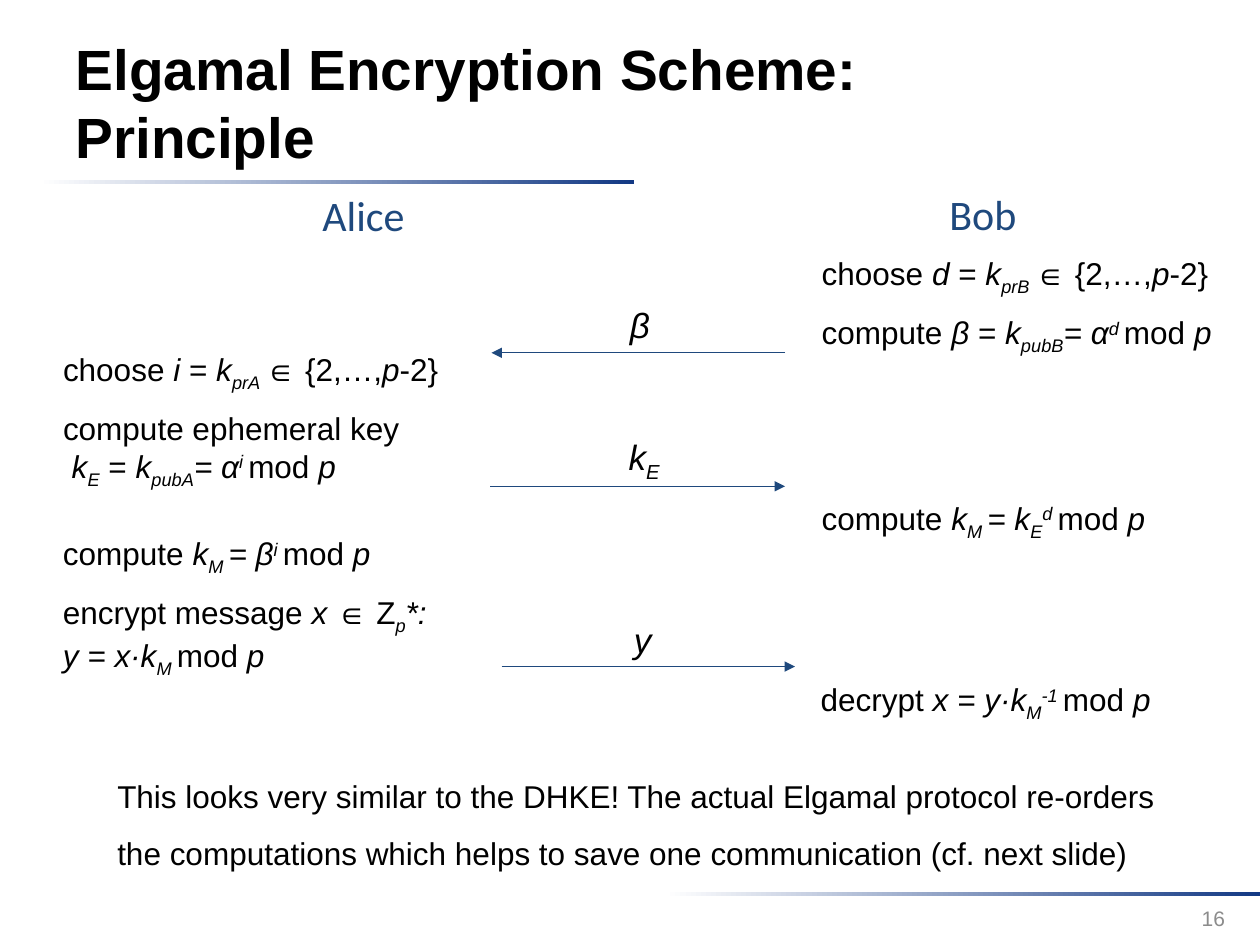
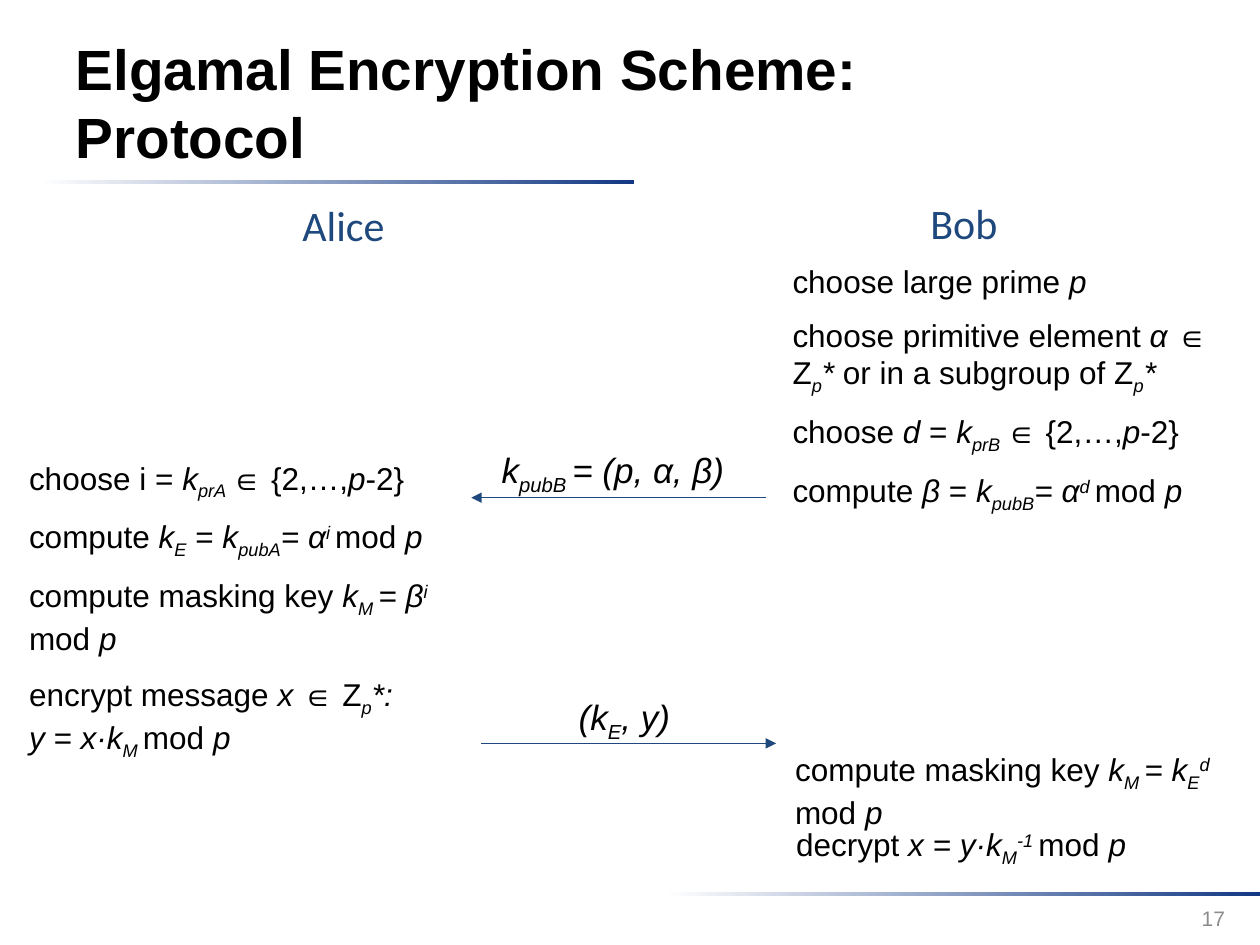
from lxml import etree
from pptx import Presentation
from pptx.dml.color import RGBColor
from pptx.enum.shapes import MSO_CONNECTOR, MSO_SHAPE
from pptx.enum.text import MSO_ANCHOR, MSO_AUTO_SIZE, PP_ALIGN
from pptx.oxml.ns import qn
from pptx.util import Pt

STRAIGHT = MSO_CONNECTOR.STRAIGHT
RECTANGLE = MSO_SHAPE.RECTANGLE
MIDDLE, TOP = MSO_ANCHOR.MIDDLE, MSO_ANCHOR.TOP
LEFT, CENTER, RIGHT = PP_ALIGN.LEFT, PP_ALIGN.CENTER, PP_ALIGN.RIGHT
NO_AUTOFIT = MSO_AUTO_SIZE.NONE

COLORS = {"white": "FFFFFF", "band": "133984", "accent": "1F497D",
          "text": "000000", "number": "8C8C8C"}
TITLE_ONLY = 5
BANDS = [(22.3, 103), (380.2, 509.8)]
MARGINS = ("margin_left", "margin_top", "margin_right", "margin_bottom")

TITLE = {"name": "Arial", "size": Pt(32.4), "bold": True, "color": "text"}
NUMBER = {"name": "Arial", "size": Pt(12), "color": "number"}
PARTY = {"name": "Calibri", "size": Pt(24), "color": "accent"}
STEP = {"name": "Arial", "size": Pt(18), "color": "text"}
MESSAGE = {"name": "Arial", "size": Pt(20), "color": "text"}

# Formulas: | toggles italic, _ toggles subscript, ^ toggles superscript.
CHOOSE_D = "choose |d| = |k_prB _|∈ {2,…,|p|-2}"
COMPUTE_BETA = "compute |β| = |k_pubB_= α^d ^|mod |p|"
EPHEMERAL_KEY = "|k_E_| = |k_pubA_= α^i ^|mod |p|"
ALICE_MASK = "|k_M _= β^i ^|mod |p|"
BOB_MASK = "|k_M _= k_E_^d ^|mod |p|"
ENCRYPT = "encrypt message |x |∈ Z|_p_*:\ny = x·k_M _|mod |p|"
DECRYPT = "decrypt |x = y·k_M_^-1 ^|mod |p|"

SLIDES = [
    {
        "title": "Elgamal Encryption Scheme: Principle",
        "number": "16",
        "parties": [("Alice", 38.9, 111.6, 337.7), ("Bob", 387.4, 110.9, 348.5)],
        "steps": [
            (469.6, 145.4, 261, [CHOOSE_D, COMPUTE_BETA]),
            (36, 200.2, 256, ["choose |i| = |k_prA _|∈ {2,…,|p|-2}",
                              "compute ephemeral key\n " + EPHEMERAL_KEY]),
            (469.6, 285, 238, ["compute " + BOB_MASK]),
            (36, 305.3, 255, ["compute " + ALICE_MASK, ENCRYPT]),
            (469, 388.8, 255, [DECRYPT]),
        ],
        "messages": [("|β|", 360, 173.5, 28, LEFT),
                     ("|k_E_|", 359.3, 249.1, 28, LEFT),
                     ("|y|", 362.2, 353.5, 14.4, LEFT)],
        "arrows": [(448.6, 280.8, 201.6), (280.1, 448.6, 277.9),
                   (286.6, 454.3, 380.9)],
        "note": "This looks very similar to the DHKE! The actual Elgamal protocol "
                "re-orders the computations which helps to save one communication "
                "(cf. next slide)",
    },
    {
        "title": "Elgamal Encryption Scheme: Protocol",
        "number": "17",
        "parties": [("Alice", 27.4, 117.4, 337.7), ("Bob", 376.6, 115.9, 348.5)],
        "steps": [
            (452.9, 149.8, 255, ["choose large prime |p|",
                                 "choose primitive element |α |∈ Z|_p_* |"
                                 "or in a subgroup of Z|_p_*|",
                                 CHOOSE_D, COMPUTE_BETA]),
            (16.6, 262.1, 260, ["choose i = |k_prA _|∈ {2,…,|p|-2}",
                                "compute " + EPHEMERAL_KEY,
                                "compute masking key " + ALICE_MASK]),
            (454.3, 428.4, 262, ["compute masking key " + BOB_MASK]),
            (16.6, 385.9, 255, [ENCRYPT]),
            (455, 471.6, 255, [DECRYPT]),
        ],
        "messages": [("|(k_E_, y)|", 308.9, 397.4, 95.8, CENTER),
                     ("|k_pubB _= (p, α, β)|", 286.6, 256.3, 157.7, LEFT)],
        "arrows": [(437.8, 269.3, 284.4), (275, 443.5, 424.8)],
    },
]


def rgb(name):
    return RGBColor.from_string(COLORS[name])


def format_font(font, style):
    for attribute, value in style.items():
        if attribute == "color":
            font.color.rgb = rgb(value)
        else:
            setattr(font, attribute, value)


def split_formula(formula):
    """Yield (text, italic, baseline) for each stretch of a marked-up formula."""
    text, italic, mark = "", False, ""
    for letter in formula:
        if letter not in "|_^\n":
            text += letter
            continue
        if text:
            yield text, italic, mark
        text = ""
        if letter == "|":
            italic = not italic
        elif letter == "\n":
            yield "\n", italic, mark
        else:
            mark = "" if mark == letter else letter
    if text:
        yield text, italic, mark


def write_formula(para, formula, style):
    baselines = {"_": "-25000", "^": "30000"}
    for text, italic, mark in split_formula(formula):
        if text == "\n":
            para.add_line_break()
            continue
        span = para.add_run()
        span.text = text
        format_font(span.font, {**style, "italic": italic})
        if mark:
            span.font._element.set("baseline", baselines[mark])


def add_text(page, place, formulas, style, align=LEFT, line_spacing=None,
             anchor=TOP, margin=0):
    box = page.shapes.add_textbox(*map(Pt, place))
    frame = box.text_frame
    frame.word_wrap = True
    frame.vertical_anchor = anchor
    for side in MARGINS:
        setattr(frame, side, Pt(margin))
    for index, formula in enumerate(formulas):
        para = frame.add_paragraph() if index else frame.paragraphs[0]
        para.alignment = align
        para.space_before = Pt(9 if index else 0)
        if line_spacing:
            para.line_spacing = line_spacing
        write_formula(para, formula, style)


def add_title(page, text):
    title = page.shapes.title
    place = {"left": 36, "top": 13, "width": 556.6, "height": 90}
    for attribute, value in place.items():
        setattr(title, attribute, Pt(value))
    frame = title.text_frame
    frame.text = text
    frame.auto_size = NO_AUTOFIT
    frame.vertical_anchor = MIDDLE
    para = frame.paragraphs[0]
    para.alignment = LEFT
    format_font(para.runs[0].font, TITLE)


def add_band(page, left, top):
    band = page.shapes.add_shape(RECTANGLE, Pt(left), Pt(top), Pt(339.8), Pt(2.2))
    band.shadow.inherit = False
    band.line.fill.background()
    band.fill.gradient()
    band.fill.gradient_angle = 0
    for stop, color in zip(band.fill.gradient_stops, ("white", "band")):
        stop.color.rgb = rgb(color)


def add_arrow(page, start, end, height):
    arrow = page.shapes.add_connector(STRAIGHT, Pt(start), Pt(height),
                                      Pt(end), Pt(height))
    arrow.line.color.rgb = rgb("accent")
    arrow.line.width = Pt(0.75)
    properties = arrow.element.spPr
    etree.SubElement(properties.find(qn("a:ln")), qn("a:tailEnd"), type="triangle")
    etree.SubElement(properties, qn("a:effectLst"))


def add_page(deck, content):
    page = deck.slides.add_slide(deck.slide_layouts[TITLE_ONLY])
    for left, top in BANDS:
        add_band(page, left, top)
    add_title(page, content["title"])
    add_text(page, (539.3, 510.5, 167.8, 28.8), [content["number"]], NUMBER,
             RIGHT, anchor=MIDDLE, margin=7.2)
    for name, left, top, width in content["parties"]:
        add_text(page, (left, top, width, 26), [name], PARTY, CENTER, 0.9)
    for left, top, width, formulas in content["steps"]:
        add_text(page, (left, top, width, 22 * len(formulas)), formulas, STEP)
    for formula, left, top, width, align in content["messages"]:
        add_text(page, (left, top, width, 24), [formula], MESSAGE, align)
    for start, end, height in content["arrows"]:
        add_arrow(page, start, end, height)
    if "note" in content:
        add_text(page, (67, 433.4, 602, 61), [content["note"]], STEP,
                 line_spacing=1.5)


def main():
    deck = Presentation()
    deck.slide_width, deck.slide_height = Pt(720), Pt(540)
    for content in SLIDES:
        add_page(deck, content)
    deck.save("out.pptx")


if __name__ == "__main__":
    main()
